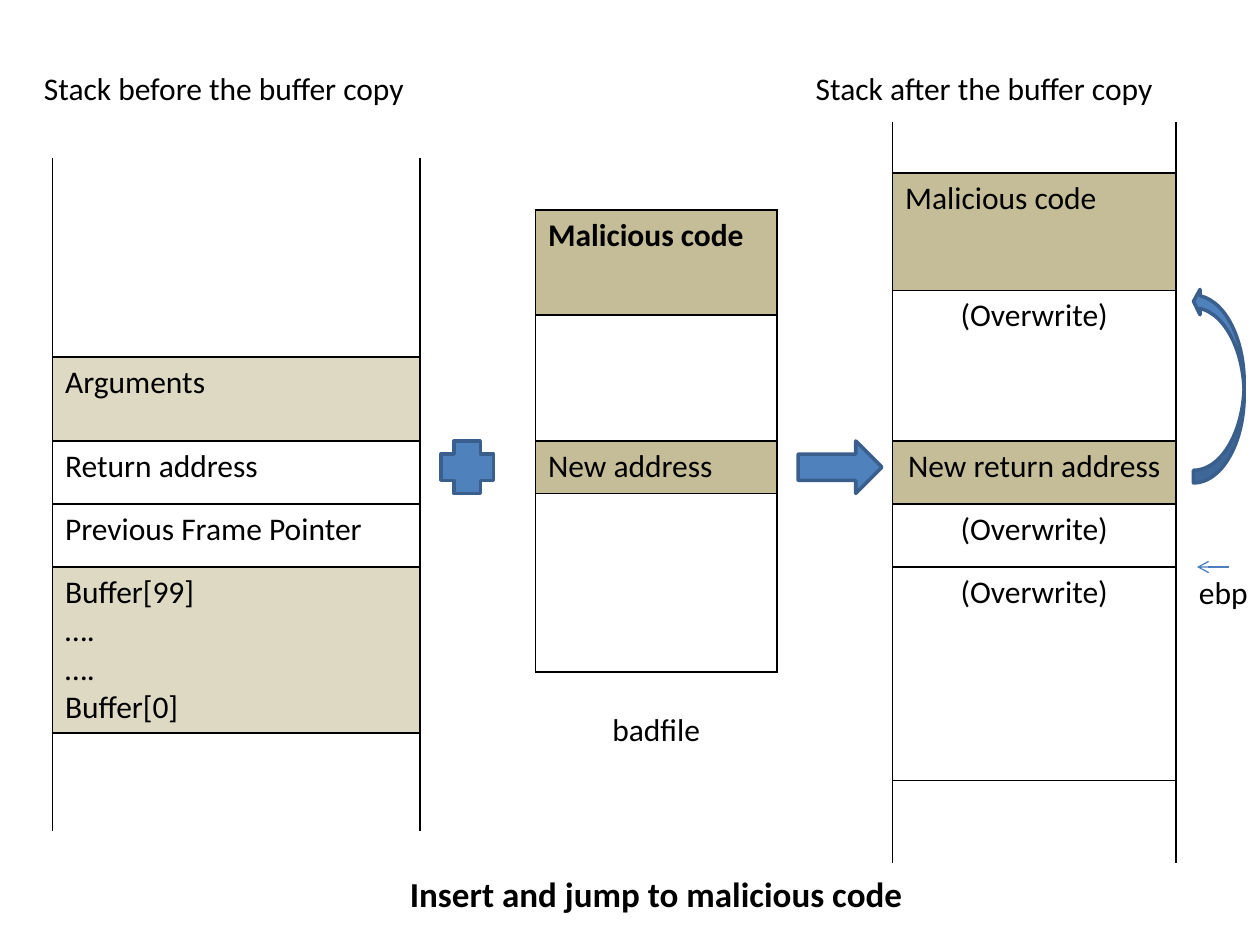
from dataclasses import dataclass

from lxml import etree
from pptx import Presentation
from pptx.dml.color import RGBColor
from pptx.enum.shapes import MSO_CONNECTOR, MSO_SHAPE
from pptx.enum.text import MSO_ANCHOR, MSO_AUTO_SIZE, PP_ALIGN
from pptx.oxml.ns import qn
from pptx.util import Pt

LEFT, CENTER = PP_ALIGN.LEFT, PP_ALIGN.CENTER
PLUS, RIGHT_ARROW = MSO_SHAPE.CROSS, MSO_SHAPE.RIGHT_ARROW
CURVED_ARROW = MSO_SHAPE.CURVED_LEFT_ARROW
STRAIGHT = MSO_CONNECTOR.STRAIGHT
TOP, NO_AUTOSIZE = MSO_ANCHOR.TOP, MSO_AUTO_SIZE.NONE

BLACK = RGBColor(0x00, 0x00, 0x00)
SAND = RGBColor(0xDD, 0xD9, 0xC3)
TAN = RGBColor(0xC4, 0xBD, 0x97)
BLUE = RGBColor(0x4F, 0x81, 0xBD)
DARK_BLUE = RGBColor(0x3A, 0x5F, 0x8C)
LINE_BLUE = RGBColor(0x4B, 0x7E, 0xBC)


@dataclass
class Row:
    height: float
    text: str = ""
    fill: RGBColor = None
    align: PP_ALIGN = LEFT
    bold: bool = False


class StackSlide:
    font = "Calibri"
    size = 18

    def __init__(self, prs):
        self.slide = prs.slides.add_slide(prs.slide_layouts[5])

    def set_text(self, tf, text, align=LEFT, bold=False, size=None):
        tf.text = text
        for p in tf.paragraphs:
            p.alignment = align
            p.font.name = self.font
            p.font.size = Pt(size or self.size)
            p.font.bold = bold
            p.font.color.rgb = BLACK

    def title(self, text, x, y, w, h):
        s = self.slide.shapes.title
        s.left, s.top, s.width, s.height = Pt(x), Pt(y), Pt(w), Pt(h)
        tf = s.text_frame
        tf.auto_size, tf.vertical_anchor = NO_AUTOSIZE, TOP
        self.set_text(tf, text, CENTER, True, 20)

    def label(self, text, x, y, w, h, align=LEFT):
        tf = self.slide.shapes.add_textbox(Pt(x), Pt(y), Pt(w), Pt(h)).text_frame
        tf.word_wrap = True
        self.set_text(tf, text, align)

    def border(self, cell, side, visible):
        ln = etree.SubElement(cell._tc.get_or_add_tcPr(), qn(f"a:ln{side}"), w=str(Pt(1)))
        if visible:
            fill = etree.SubElement(ln, qn("a:solidFill"))
            etree.SubElement(fill, qn("a:srgbClr"), val=str(BLACK))
        else:
            etree.SubElement(ln, qn("a:noFill"))

    def stack(self, x, y, w, rows, open_ends=False):
        """Draw memory cells; open ends leave out the outer top and bottom borders."""
        height = sum(row.height for row in rows)
        table = self.slide.shapes.add_table(
            len(rows), 1, Pt(x), Pt(y), Pt(w), Pt(height)).table
        table.first_row = table.horz_banding = False
        for i, row in enumerate(rows):
            table.rows[i].height = Pt(row.height)
            cell = table.cell(i, 0)
            self.set_text(cell.text_frame, row.text, row.align, row.bold)
            hidden = {"T": open_ends and i == 0,
                      "B": open_ends and i == len(rows) - 1}
            for side in "LRTB":
                self.border(cell, side, not hidden.get(side))
            if row.fill is None:
                cell.fill.background()
            else:
                cell.fill.solid()
                cell.fill.fore_color.rgb = row.fill

    def shape(self, kind, x, y, w, h):
        s = self.slide.shapes.add_shape(kind, Pt(x), Pt(y), Pt(w), Pt(h))
        s.shadow.inherit = False
        s.fill.solid()
        s.fill.fore_color.rgb = BLUE
        s.line.color.rgb = DARK_BLUE
        s.line.width = Pt(2)
        return s

    def jump_arrow(self, x, y, w, h):
        """Curved arrow that points up to the malicious code."""
        s = self.shape(CURVED_ARROW, x, y, w, h)
        for i, value in enumerate((0.25, 0.5, 0.13)):
            s.adjustments[i] = value
        s._element.spPr.get_or_add_xfrm().set("flipV", "1")

    def pointer(self, x1, y1, x2, y2):
        c = self.slide.shapes.add_connector(STRAIGHT, Pt(x1), Pt(y1), Pt(x2), Pt(y2))
        c.line.color.rgb = LINE_BLUE
        c.line.width = Pt(0.75)
        etree.SubElement(c.line._get_or_add_ln(), qn("a:tailEnd"), type="arrow")
        etree.SubElement(c._element.spPr, qn("a:effectLst"))


def main():
    prs = Presentation()
    prs.slide_width, prs.slide_height = Pt(720), Pt(540)
    stacks = StackSlide(prs)

    stacks.title("Insert and jump to malicious code", 127.5, 495, 495, 31.5)
    stacks.label("Stack before the buffer copy", 18, 36, 234, 29)
    stacks.label("Stack after the buffer copy", 459, 36, 234, 29)
    stacks.label("badfile", 306, 402, 138, 30, CENTER)
    stacks.label("ebp", 678, 324, 48, 29)

    stacks.stack(30, 90, 210, [
        Row(114),
        Row(48, "Arguments", SAND),
        Row(36, "Return address"),
        Row(36, "Previous Frame Pointer"),
        Row(95, "Buffer[99]\n….\n….\nBuffer[0]", SAND),
        Row(56),
    ], open_ends=True)
    stacks.stack(306, 120, 138, [
        Row(60, "Malicious code", TAN, bold=True),
        Row(72),
        Row(30, "New address", TAN),
        Row(102),
    ])
    stacks.stack(510, 70, 162, [
        Row(29),
        Row(67, "Malicious code", TAN),
        Row(86, "(Overwrite)", align=CENTER),
        Row(36, "New return address", TAN, CENTER),
        Row(36, "(Overwrite)", align=CENTER),
        Row(122, "(Overwrite)", align=CENTER),
        Row(47),
    ], open_ends=True)

    stacks.shape(PLUS, 252, 252, 30, 30)
    stacks.shape(RIGHT_ARROW, 456, 252, 48, 30)
    stacks.jump_arrow(682, 165, 29, 111)
    stacks.pointer(702, 324, 684, 324)

    prs.save("out.pptx")


if __name__ == "__main__":
    main()
